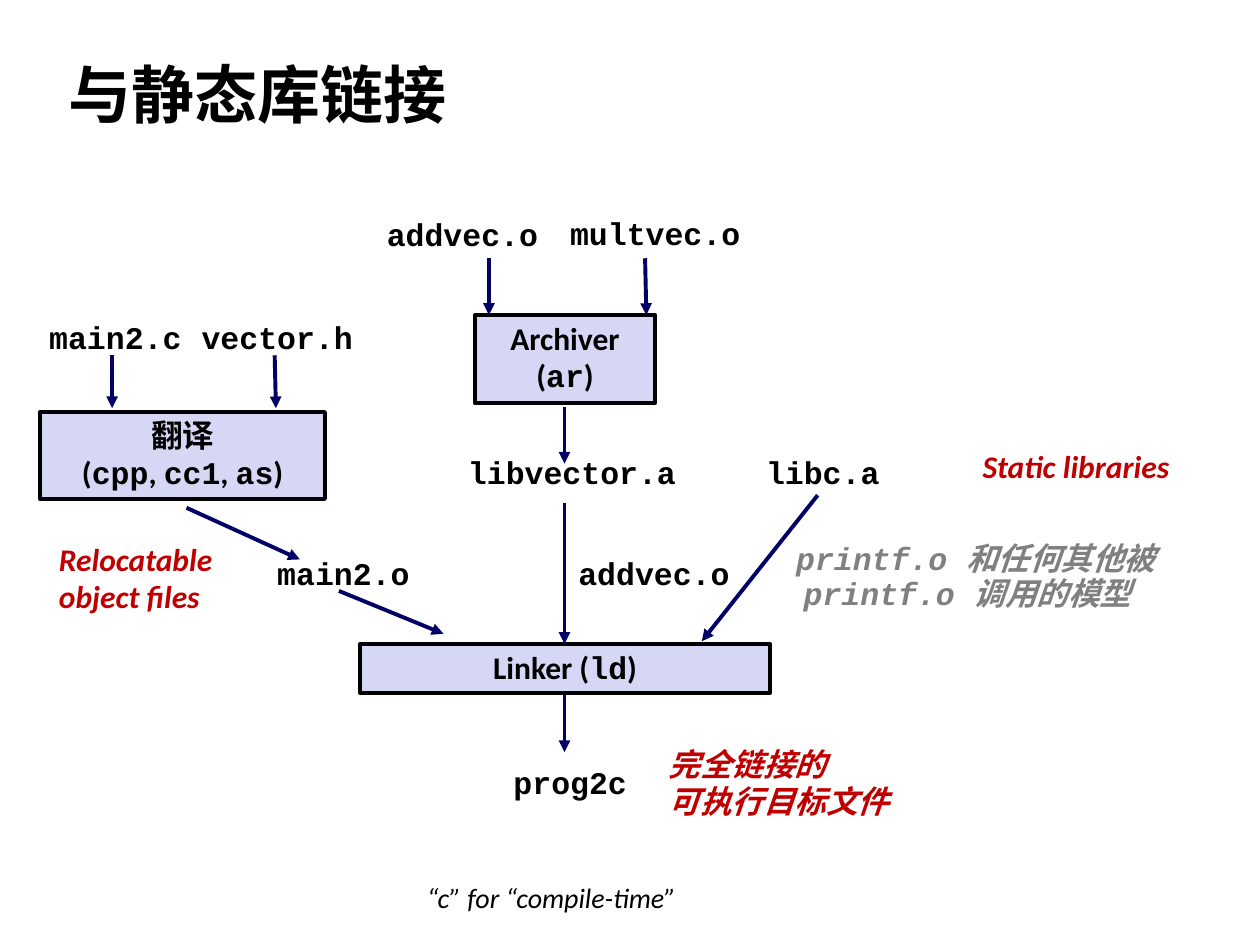
import pptx
import pptx.util
import pptx.dml.color
import pptx.enum.shapes
import pptx.enum.text
import pptx.oxml.ns
import lxml.etree

Inches = pptx.util.Inches
ALIGN = pptx.enum.text.PP_ALIGN
COLORS = {"ink": "000000", "box": "D6D6F5", "arrow": "000066",
          "note": "C00000", "faint": "808080"}


class Deck:
    text = "Calibri"
    code = "Courier New"
    asian = "Noto Sans CJK SC"
    size = 18
    weight = 2.25

    def __init__(self):
        self.show = pptx.Presentation()
        self.show.slide_width = Inches(10)
        self.show.slide_height = Inches(7.5)
        self.slide = self.show.slides.add_slide(self.show.slide_layouts[5])

    def color(self, name):
        return pptx.dml.color.RGBColor.from_string(COLORS[name])

    def font(self, run, face, color="ink", size=None, bold=True, slant=False):
        font = run.font
        font.name = face
        font.size = pptx.util.Pt(size or self.size)
        font.bold = bold
        font.italic = slant
        font.color.rgb = self.color(color)
        east = lxml.etree.SubElement(font._element, pptx.oxml.ns.qn("a:ea"))
        east.set("typeface", self.asian)

    def fill(self, frame, lines, align, space, **style):
        for row, line in enumerate(lines):
            para = frame.paragraphs[0] if row == 0 else frame.add_paragraph()
            para.alignment = align
            para.line_spacing = space
            for part, words in enumerate(line.split("`")):
                if words:
                    run = para.add_run()
                    run.text = words
                    self.font(run, self.code if part % 2 else self.text, **style)

    def title(self, words, *place):
        shape = self.slide.shapes.title
        shape.left, shape.top, shape.width, shape.height = map(Inches, place)
        frame = shape.text_frame
        frame.auto_size = pptx.enum.text.MSO_AUTO_SIZE.NONE
        frame.vertical_anchor = pptx.enum.text.MSO_ANCHOR.MIDDLE
        self.fill(frame, [words], ALIGN.LEFT, 1.0, size=36)

    def box(self, lines, *place):
        shape = self.slide.shapes.add_shape(
            pptx.enum.shapes.MSO_SHAPE.RECTANGLE, *map(Inches, place))
        shape.shadow.inherit = False
        shape.fill.solid()
        shape.fill.fore_color.rgb = self.color("box")
        shape.line.color.rgb = self.color("ink")
        shape.line.width = pptx.util.Pt(self.weight)
        shape.text_frame.vertical_anchor = pptx.enum.text.MSO_ANCHOR.TOP
        self.fill(shape.text_frame, lines, ALIGN.CENTER, 0.98)

    def note(self, lines, *place, align=ALIGN.LEFT, space=0.98, wrap=False, **style):
        shape = self.slide.shapes.add_textbox(*map(Inches, place))
        frame = shape.text_frame
        frame.word_wrap = wrap
        self.fill(frame, lines, align, space, **style)
        return frame

    def label(self, name, left, top, width):
        self.note([f"`{name}`"], left, top, width, 0.39,
                  align=ALIGN.CENTER, space=0.94)

    def arrow(self, *ends):
        line = self.slide.shapes.add_connector(
            pptx.enum.shapes.MSO_CONNECTOR.STRAIGHT, *map(Inches, ends))
        line.line.color.rgb = self.color("arrow")
        line.line.width = pptx.util.Pt(self.weight)
        tip = lxml.etree.SubElement(line.line._get_or_add_ln(),
                                    pptx.oxml.ns.qn("a:tailEnd"))
        tip.set("type", "triangle")
        lxml.etree.SubElement(line._element.spPr, pptx.oxml.ns.qn("a:effectLst"))


def main():
    deck = Deck()
    deck.title("与静态库链接", 0.44, 0.31, 6.14, 0.86)

    deck.box(["翻译", "(`cpp`, `cc1`, `as`)"], 0.32, 3.27, 2.26, 0.69)
    deck.box(["Archiver", "(`ar`)"], 3.77, 2.5, 1.43, 0.7)
    deck.box(["Linker (`ld`)"], 2.86, 5.11, 3.25, 0.39)

    mid = 4.48
    for ends in [
        (0.89, 2.82, 0.89, 3.24), (2.18, 2.82, 2.19, 3.24),
        (3.88, 2.05, 3.88, 2.5), (5.12, 2.05, 5.13, 2.5),
        (mid, 3.23, mid, 3.68), (mid, 3.99, mid, 5.11),
        (mid, 5.52, mid, 5.97), (1.48, 4.03, 2.38, 4.44),
        (2.69, 4.69, 3.52, 5.03), (6.49, 3.93, 5.57, 5.09),
    ]:
        deck.arrow(*ends)

    for name, left, top, width in [
        ("addvec.o", 2.97, 1.68, 1.4), ("multvec.o", 4.42, 1.67, 1.56),
        ("main2.c", 0.29, 2.5, 1.25), ("vector.h", 1.5, 2.5, 1.4),
        ("libvector.a", 3.61, 3.57, 1.86), ("libc.a", 5.98, 3.57, 1.1),
        ("main2.o", 2.1, 4.37, 1.25), ("addvec.o", 4.49, 4.37, 1.4),
        ("prog2c", 3.97, 6.03, 1.11),
    ]:
        deck.label(name, left, top, width)

    for lines, place in [
        (["Static libraries"], (7.7, 3.51, 1.7, 0.4)),
        (["Relocatable", "object files"], (0.37, 4.25, 1.43, 0.7)),
        (["完全链接的", "可执行目标文件"], (5.21, 5.88, 1.96, 0.69)),
    ]:
        deck.note(lines, *place, color="note", slant=True)

    calls = deck.note(["`printf.o 和任何其他被`", "`printf.o 调用的模型`"],
                      6.22, 4.25, 3.05, 0.67, space=0.94, wrap=True,
                      color="faint", slant=True)
    calls.paragraphs[1]._p.get_or_add_pPr().set("marL", str(Inches(0.06)))

    deck.note(["“c” for “compile-time”"], 3.29, 6.94, 2.38, 0.37,
              space=1.0, size=16, bold=False, slant=True)
    deck.show.save("out.pptx")


if __name__ == "__main__":
    main()
